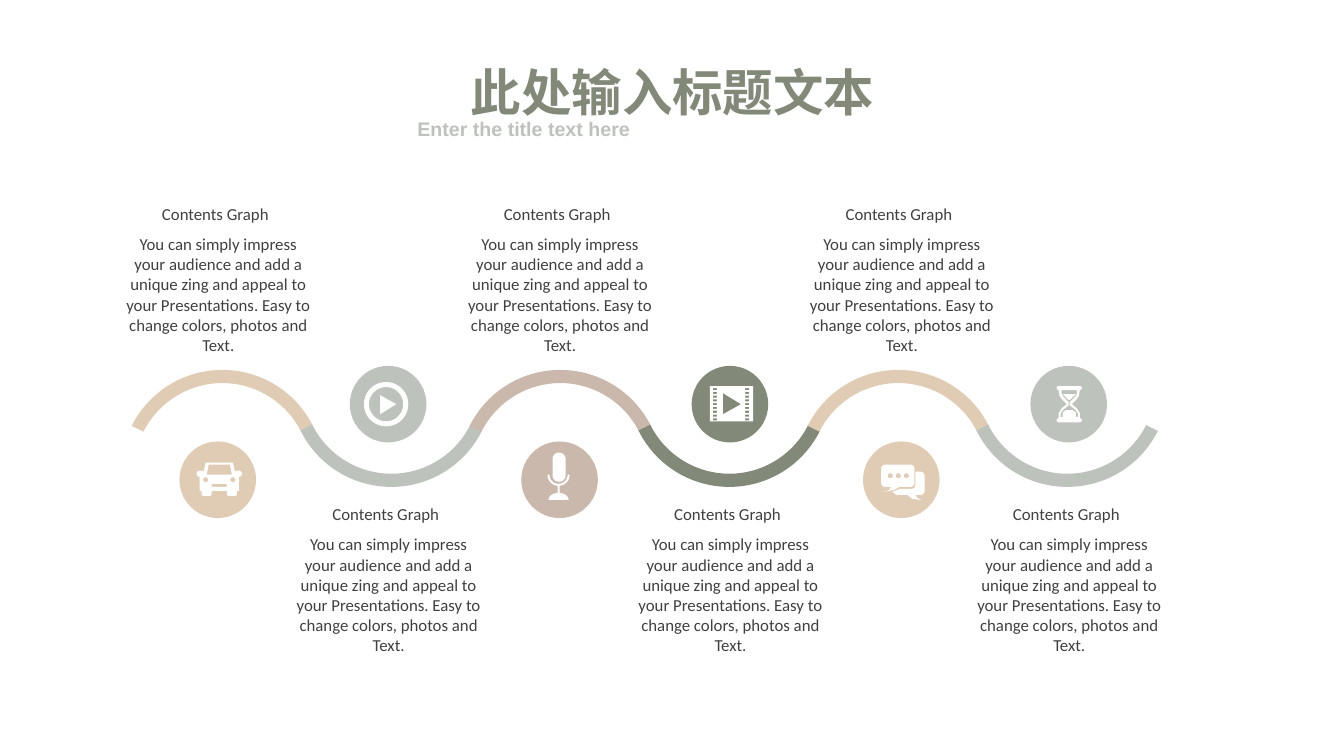
from dataclasses import dataclass
from math import cos, radians, sin

from pptx import Presentation
from pptx.dml.color import RGBColor
from pptx.enum import shapes as kinds, text as modes
from pptx import util as u

Point = tuple[float, float]
Path = list[Point]

COLORS = {"sand": "E0CCB4", "mist": "BDC2BC", "clay": "CAB8AC",
          "olive": "828979", "ink": "404040", "white": "FFFFFF"}
HEAD = "Contents Graph "
BODY = ("You can simply impress your audience and add a unique zing and appeal "
        "to your Presentations. Easy to change colors, photos and Text.")
DISC, ARC, BAND = 0.76, 2.01, 0.13
ARC_LEFT, ARC_STEP = 1.2, 8.38 / 5


@dataclass
class Stop:
    left: float
    color: str
    icon: list[Path]


@dataclass
class Label:
    text: str
    left: float
    top: float
    width: float
    height: float
    size: int
    color: str
    font: str = "Calibri"
    bold: bool = False
    wrap: bool = True
    align: modes.PP_ALIGN = modes.PP_ALIGN.CENTER


def rgb(name: str) -> RGBColor:
    return RGBColor.from_string(COLORS[name])


def arc(x: float, y: float, r: float, start: int = 0, end: int = 360,
        tall: float = 0) -> Path:
    """Points on an ellipse, with angles clockwise from the right."""
    count = 36 if abs(end - start) > 90 else 8
    turns = [radians(start + (end - start) * i / count) for i in range(count + 1)]
    return [(x + r * cos(a), y + (tall or r) * sin(a)) for a in turns]


def box(left: float, top: float, right: float, low: float,
        r: float = 0, tail: Path | None = None) -> Path:
    """Rectangle, rounded by r, with an optional tail on its lower edge."""
    if not r:
        return [(left, top), (right, top), (right, low), (left, low)]
    return (arc(left + r, top + r, r, 180, 270) + arc(right - r, top + r, r, 270, 360)
            + arc(right - r, low - r, r, 0, 90) + (tail or [])
            + arc(left + r, low - r, r, 90, 180))


def mirror(half: Path, axis: float) -> Path:
    """Close a right-hand outline with its reflection."""
    return half + [(2 * axis - x, y) for x, y in reversed(half)]


def car() -> list[Path]:
    mid = 2.175
    body = [(2.31, 4.59), (2.33, 4.68), (2.34, 4.67), *arc(2.37, 4.7, 0.03, 270, 450),
            (2.37, 4.87), (2.35, 4.87), *arc(2.33, 4.9, 0.02, 0, 90),
            *arc(2.27, 4.9, 0.02, 90, 180), (2.25, 4.87)]
    glass = [(2.28, 4.61), (2.3, 4.71)]
    lamps = [arc(x, 4.76, 0.025) for x in (2.04, 2.31)]
    return [mirror(body, mid), mirror(glass, mid), box(2.1, 4.8, 2.25, 4.83, 0.01), *lamps]


def play() -> list[Path]:
    return [arc(3.83, 4.01, 0.22), arc(3.83, 4.01, 0.17),
            [(3.77, 3.92), (3.93, 4.01), (3.77, 4.11)]]


def mic() -> list[Path]:
    x, y = 5.54, 4.71
    stand = (arc(x, y, 0.11, 0, 85) + [(5.55, 4.89)]
             + arc(x, 4.96, 0.1, 270, 360, 0.07) + arc(x, 4.96, 0.1, 180, 270, 0.07)
             + [(5.53, 4.89)] + arc(x, y, 0.11, 95, 180) + arc(x, y, 0.09, 180, 0))
    return [box(5.48, 4.49, 5.61, 4.78, 0.065), stand]


def film() -> list[Path]:
    holes = [box(x, 3.85 + i * 0.0375, x + 0.04, 3.87 + i * 0.0375)
             for x in (7.07, 7.39) for i in range(9)]
    return [box(7.04, 3.83, 7.47, 4.18), [(7.17, 3.9), (7.35, 4.01), (7.17, 4.11)], *holes]


def chat() -> list[Path]:
    front = box(8.74, 4.61, 9.07, 4.83, 0.04,
                [(8.92, 4.83), (8.87, 4.86), (8.76, 4.88), (8.82, 4.86), (8.84, 4.83)])
    back = ([(9.08, 4.68)] + arc(9.13, 4.72, 0.04, 270, 360) + arc(9.13, 4.87, 0.04, 0, 90)
            + [(9.08, 4.91), (9.1, 4.94), (9.14, 4.96), (9.05, 4.95), (9, 4.91), (8.89, 4.91),
               (8.85, 4.88), (8.93, 4.85)] + arc(9.04, 4.81, 0.04, 90, 0))
    return [front, back, *[arc(x, 4.72, 0.025) for x in (8.83, 8.91, 8.99)]]


def glass() -> list[Path]:
    mid = 10.605
    frame = [*arc(10.71, 3.85, 0.02, 270, 450), (10.7, 3.93), (10.68, 3.96), (10.63, 4.01),
             (10.68, 4.05), (10.71, 4.1), (10.71, 4.15), *arc(10.71, 4.17, 0.02, 270, 450)]
    inner = [(10.68, 3.87), (10.68, 3.91), (10.66, 3.94), (10.61, 3.99), (10.61, 4.02),
             (10.67, 4.07), (10.69, 4.1), (10.69, 4.14)]
    upper = [(10.67, 3.91), (10.65, 3.93), (10.61, 3.97)]
    lower = [(10.61, 4.07), (10.64, 4.07), (10.67, 4.09), (10.67, 4.14)]
    return [mirror(side, mid) for side in (frame, inner, upper, lower)]


def paint(shape, color: str) -> None:
    shape.shadow.inherit = False
    shape.fill.solid()
    shape.fill.fore_color.rgb = rgb(color)
    shape.line.fill.background()


def preset(slide, kind, left: float, top: float, size: float, color: str):
    shape = slide.shapes.add_shape(kind, *map(u.Inches, (left, top, size, size)))
    paint(shape, color)
    return shape


def draw(slide, paths: list[Path]) -> None:
    """One white outline made of several closed paths."""
    pen = None
    for path in paths:
        first, *rest = [(u.Inches(x), u.Inches(y)) for x, y in path]
        if pen is None:
            pen = slide.shapes.build_freeform(*first, scale=1)
        else:
            pen.move_to(*first)
        pen.add_line_segments(rest, close=True)
    paint(pen.convert_to_shape(), "white")


def write(slide, label: Label) -> None:
    place = map(u.Inches, (label.left, label.top, label.width, label.height))
    frame = slide.shapes.add_textbox(*place).text_frame
    frame.word_wrap = label.wrap
    frame.auto_size = modes.MSO_AUTO_SIZE.SHAPE_TO_FIT_TEXT
    para = frame.paragraphs[0]
    para.text = label.text
    para.alignment = label.align
    font = para.font
    font.name, font.size, font.bold = label.font, u.Pt(label.size), label.bold
    font.color.rgb = rgb(label.color)


def place(slide, index: int, stop: Stop) -> None:
    """Draw one bend of the wave with its disc, icon and text."""
    low = index % 2 == 1
    bend = preset(slide, kinds.MSO_SHAPE.BLOCK_ARC, ARC_LEFT + index * ARC_STEP,
                  2.82 if low else 3.67, ARC, stop.color)
    for i, value in enumerate((123.99, 200.21, BAND / ARC)):
        bend.adjustments[i] = value
    bend.rotation = 180 if low else 0
    preset(slide, kinds.MSO_SHAPE.OVAL, stop.left, 3.63 if low else 4.38, DISC, stop.color)
    draw(slide, stop.icon)
    left, top = stop.left - 0.64, 4.95 if low else 1.97
    write(slide, Label(BODY, left, top + 0.3, 2.05, 1.31, 12, "ink"))
    write(slide, Label(HEAD, left - 0.01, top, 2.05, 0.3, 12, "ink"))


def main() -> None:
    deck = Presentation()
    deck.slide_width, deck.slide_height = u.Inches(13.33), u.Inches(7.5)
    slide = deck.slides.add_slide(deck.slide_layouts[6])
    write(slide, Label("此处输入标题文本", 4.55, 0.56, 4.24, 0.71, 36, "olive",
                       bold=True, wrap=False))
    write(slide, Label("Enter the title text here", 4.04, 1.11, 5.25, 0.34, 14, "mist",
                       "Arial", True, align=modes.PP_ALIGN.JUSTIFY))
    stops = [Stop(1.78, "sand", car()), Stop(3.47, "mist", play()),
             Stop(5.17, "clay", mic()), Stop(6.86, "olive", film()),
             Stop(8.56, "sand", chat()), Stop(10.22, "mist", glass())]
    for index, stop in enumerate(stops):
        place(slide, index, stop)
    deck.save("out.pptx")


if __name__ == "__main__":
    main()
